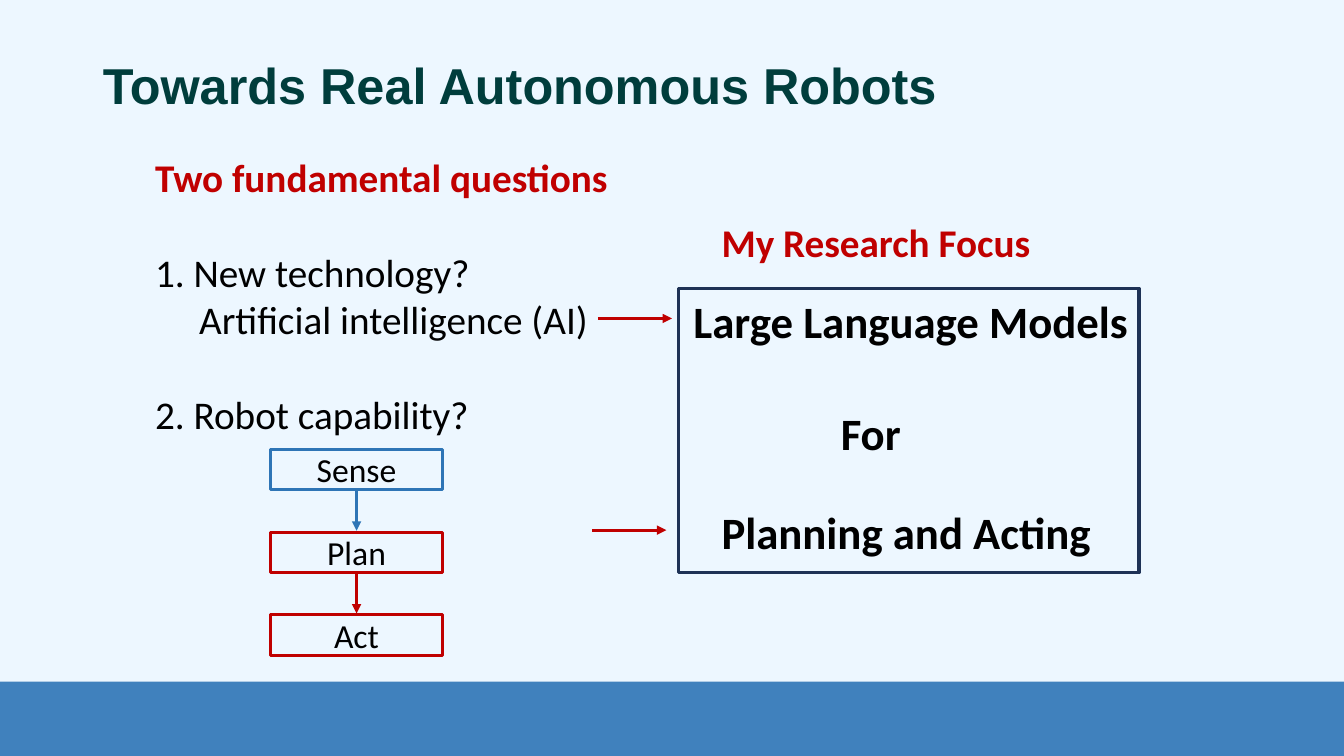
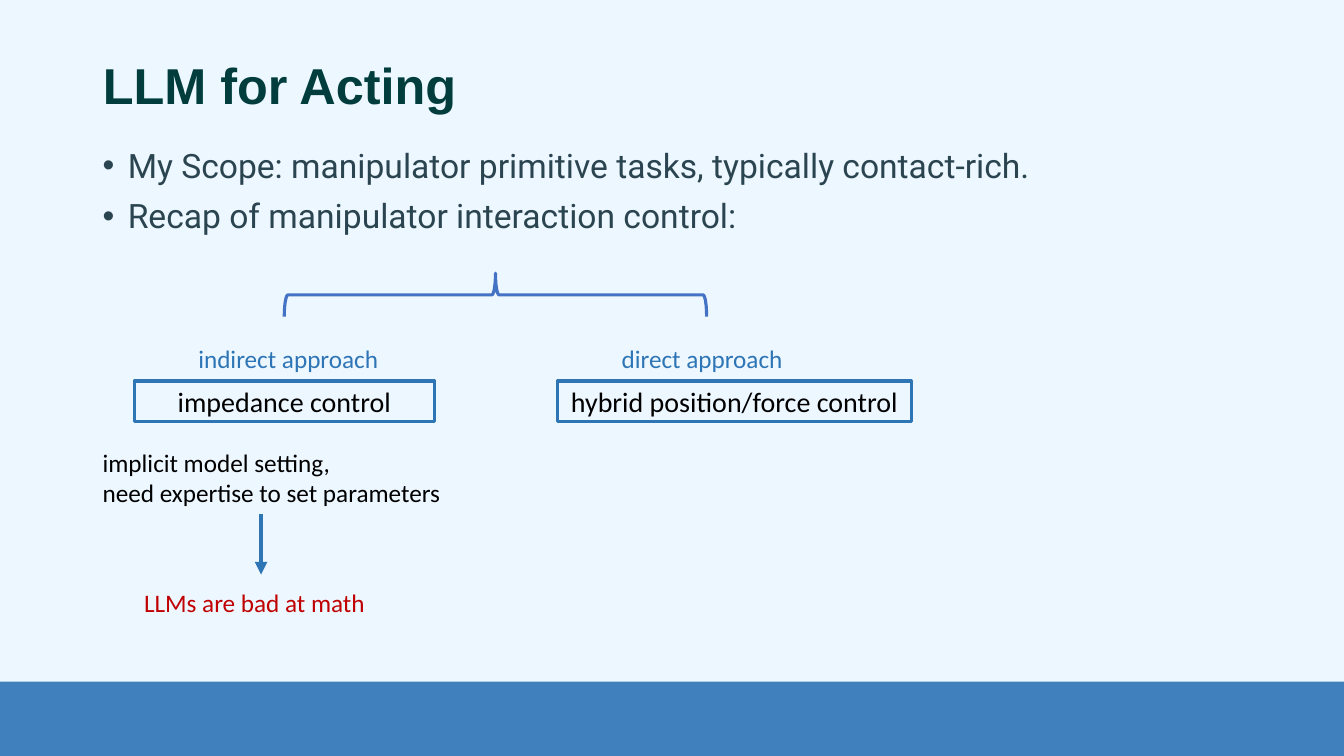
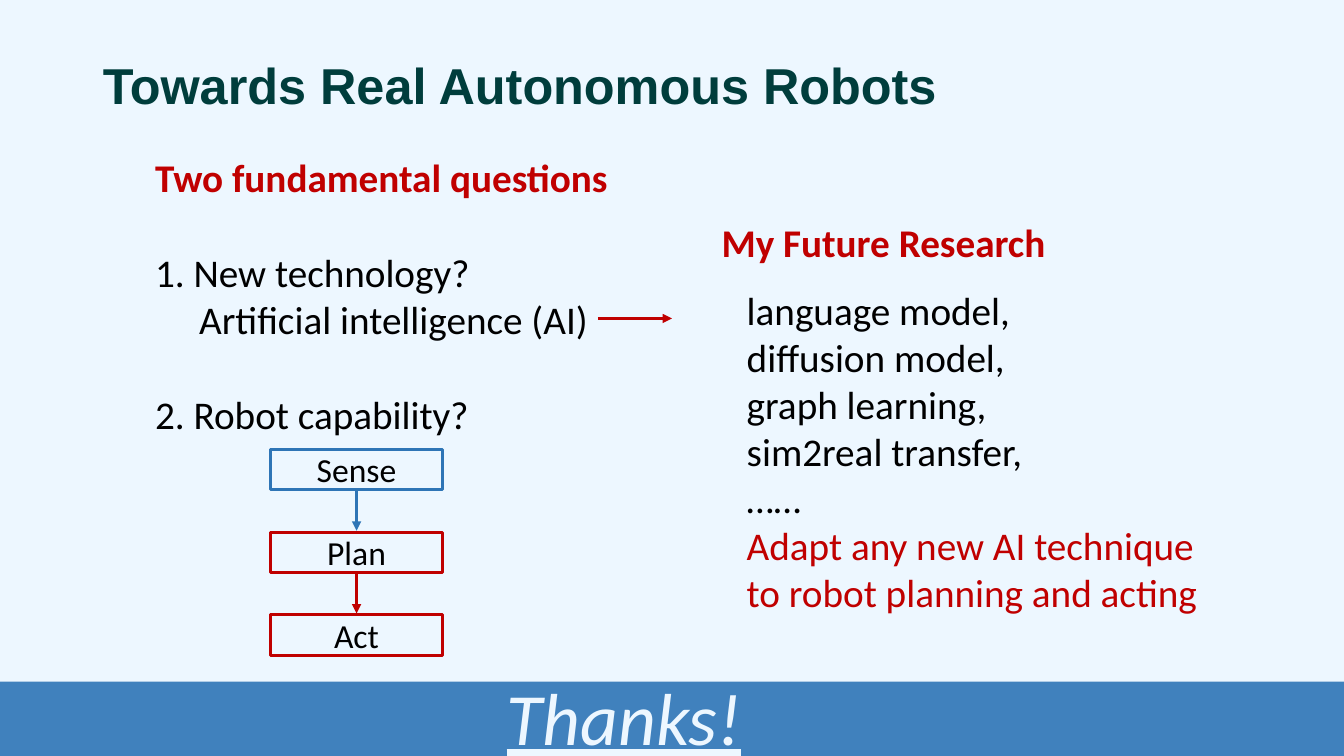
from dataclasses import dataclass
from typing import Optional

from lxml import etree
from pptx import Presentation
from pptx.dml.color import RGBColor
from pptx.enum.shapes import MSO_CONNECTOR, MSO_SHAPE
from pptx.enum.text import MSO_ANCHOR, MSO_AUTO_SIZE, PP_ALIGN
from pptx.oxml.ns import qn
from pptx.util import Pt


@dataclass(frozen=True)
class Theme:
    paper: RGBColor = RGBColor(0xED, 0xF7, 0xFF)
    blue: RGBColor = RGBColor(0x2E, 0x75, 0xB6)
    red: RGBColor = RGBColor(0xC0, 0x00, 0x00)
    navy: RGBColor = RGBColor(0x1E, 0x32, 0x56)
    brace: RGBColor = RGBColor(0x44, 0x72, 0xC4)
    title: RGBColor = RGBColor(0x00, 0x3D, 0x3C)
    slate: RGBColor = RGBColor(0x2B, 0x45, 0x50)
    black: RGBColor = RGBColor(0, 0, 0)
    title_font: str = "Arial"
    body_font: str = "Calibri"
    bullet_font: str = "Roboto"
    title_size: float = 36
    focus_size: float = 32
    lead_size: float = 28
    step_size: float = 24
    method_size: float = 20
    note_size: float = 18
    thanks_size: float = 52.6
    stroke: float = 2.25


@dataclass(frozen=True)
class Line:
    text: str
    color: RGBColor = Theme.black
    bold: bool = False
    before: float = 0
    indent: float = 0


T = Theme()
SLIDE_W, SLIDE_H = 960, 540
BAND_TOP = 486.8
TITLE_BOX = (66.24, 19.5, 828, 86.4)

ROBOTS_TITLE = "Towards Real Autonomous Robots"
ACTING_TITLE = "LLM for Acting"
LINE_GAP = 34.2
QUESTIONS = [
    Line("Two fundamental questions", T.red, True),
    Line("1. New technology?", before=LINE_GAP),
    Line("Artificial intelligence (AI)", indent=31.5),
    Line("2. Robot capability?", before=LINE_GAP),
]
STEPS = [("Sense", T.blue), ("Plan", T.red), ("Act", T.red)]
FOCUS = [("Large Language Models", 488.2, 206), ("For", 593.5, 286.5),
         ("Planning and Acting", 508.3, 357.2)]
FUTURE = [
    Line("language model,"),
    Line("diffusion model,"),
    Line("graph learning,"),
    Line("sim2real transfer,"),
    Line("……"),
    Line("Adapt any new AI technique", T.red),
    Line("to robot planning and acting", T.red),
]
SCOPE = [
    Line("My Scope: manipulator primitive tasks, typically contact-rich.", T.slate),
    Line("Recap of manipulator interaction control:", T.slate, before=10),
]
# approach, its left, method, left and width of the method box
APPROACHES = [
    ("indirect approach", 134.6, "impedance control", 95.8, 214.6),
    ("direct approach", 437, "hybrid position/force control", 398.2, 252.7),
]
LIMITS = [Line("implicit model setting,"), Line("need expertise to set parameters")]
VERDICT = [Line("LLMs are bad at math", T.red)]


def points(*values):
    return [Pt(value) for value in values]


def style(font, size, color, name=T.body_font, bold=False):
    font.size, font.name, font.bold = Pt(size), name, bold
    font.color.rgb = color


def write(frame, lines, size, font=T.body_font, align=PP_ALIGN.LEFT, spacing=None, bullet=None):
    for index, line in enumerate(lines):
        paragraph = frame.paragraphs[0] if index == 0 else frame.add_paragraph()
        paragraph.text = line.text
        paragraph.alignment = align
        paragraph.space_before = Pt(line.before)
        if spacing:
            paragraph.line_spacing = spacing
        properties = paragraph._p.get_or_add_pPr()
        if line.indent:
            properties.set("marL", str(Pt(line.indent)))
        if bullet:
            properties.set("marL", str(Pt(18)))
            properties.set("indent", str(Pt(-18)))
            etree.SubElement(properties, qn("a:buFont")).set("typeface", "Arial")
            etree.SubElement(properties, qn("a:buChar")).set("char", bullet)
        for run in paragraph.runs:
            style(run.font, size, line.color, font, line.bold)


def add_text(slide, box, lines, size, **options):
    frame = slide.shapes.add_textbox(*points(*box)).text_frame
    frame.word_wrap = True
    write(frame, lines, size, **options)
    return frame


def add_box(slide, box, stroke, label="", size=T.step_size):
    shape = slide.shapes.add_shape(MSO_SHAPE.RECTANGLE, *points(*box))
    shape.shadow.inherit = False
    shape.fill.solid()
    shape.fill.fore_color.rgb = T.paper
    shape.line.color.rgb = stroke
    shape.line.width = Pt(T.stroke)
    if label:
        shape.text_frame.vertical_anchor = MSO_ANCHOR.MIDDLE
        write(shape.text_frame, [Line(label)], size, align=PP_ALIGN.CENTER)


def add_arrow(slide, start, end, color, width=T.stroke):
    arrow = slide.shapes.add_connector(MSO_CONNECTOR.STRAIGHT, *points(*start, *end))
    arrow.line.color.rgb = color
    arrow.line.width = Pt(width)
    etree.SubElement(arrow.line._get_or_add_ln(), qn("a:tailEnd")).set("type", "triangle")
    etree.SubElement(arrow._element.spPr, qn("a:effectLst"))


def add_titled_slide(deck, title):
    slide = deck.slides.add_slide(deck.slide_layouts[5])
    heading = slide.shapes.title
    heading.left, heading.top, heading.width, heading.height = points(*TITLE_BOX)
    frame = heading.text_frame
    frame.auto_size = MSO_AUTO_SIZE.NONE
    frame.vertical_anchor = MSO_ANCHOR.MIDDLE
    write(frame, [Line(title, T.title, True)], T.title_size, T.title_font, spacing=0.9)
    return slide


def set_up_master(deck, slide):
    """Give the master its background and, by way of a slide, its bottom band."""
    master = deck.slide_master
    master.background.fill.solid()
    master.background.fill.fore_color.rgb = T.paper
    band = slide.shapes.add_shape(
        MSO_SHAPE.RECTANGLE, *points(0, BAND_TOP, SLIDE_W, SLIDE_H - BAND_TOP))
    band.shadow.inherit = False
    band.fill.solid()
    band.fill.fore_color.rgb = T.blue
    band.line.fill.background()
    color = band._element.spPr.find(qn("a:solidFill"))[0]
    etree.SubElement(color, qn("a:alpha")).set("val", "90000")
    master.shapes._spTree.insert(2, band._element)


def add_questions(slide, answer):
    """Draw the two questions, the sense-plan-act chain and the answer's heading."""
    add_text(slide, (103.7, 105.8, 368.6, 211), QUESTIONS, T.lead_size)
    left, top, width, height, pitch = 193.5, 321, 122.4, 28.8, 59.1
    middle = left + width / 2
    for index, (step, color) in enumerate(STEPS):
        y = top + index * pitch
        add_box(slide, (left, y, width, height), color, step)
        if index < len(STEPS) - 1:
            add_arrow(slide, (middle, y + height - 1), (middle, y + pitch - 1), color)
    add_arrow(slide, (427, 227.5), (480, 227.5), T.red)
    add_text(slide, (508.3, 152.6, 368.6, 75), [Line(answer, T.red, True)], T.lead_size)


def add_focus(slide):
    add_box(slide, (484.6, 206, 329, 203), T.navy)
    for topic, left, top in FOCUS:
        add_text(slide, (left, top, 330, 46), [Line(topic, bold=True)], T.focus_size)
    add_arrow(slide, (423, 378.7), (476, 378.7), T.red)


def add_approaches(slide):
    add_text(slide, (66.24, 103, 828, 86.4), SCOPE, T.step_size,
             font=T.bullet_font, spacing=0.9, bullet="•")
    brace = slide.shapes.add_shape(MSO_SHAPE.LEFT_BRACE, *points(338.4, 59.8, 31, 301.7))
    brace.rotation = 90
    brace.shadow.inherit = False
    brace.fill.background()
    brace.line.color.rgb = T.brace
    brace.line.width = Pt(T.stroke)
    for approach, label_left, method, left, width in APPROACHES:
        add_text(slide, (label_left, 242, 160, 28.8), [Line(approach, T.blue)], T.note_size)
        add_box(slide, (left, 272.2, width, 28.8), T.blue, method, T.method_size)
    add_text(slide, (66.24, 316, 288, 51), LIMITS, T.note_size)
    add_arrow(slide, (186.5, 367.2), (186.5, 410.4), T.blue, 3)
    add_text(slide, (95.8, 416.2, 216, 28.8), VERDICT, T.note_size)


def add_thanks(slide):
    frame = add_text(slide, (118.8, 463, 653.8, 104.4), [Line("Thanks!", T.paper)],
                     T.thanks_size, align=PP_ALIGN.CENTER, spacing=0.9)
    frame.vertical_anchor = MSO_ANCHOR.MIDDLE
    font = frame.paragraphs[0].runs[0].font
    font.italic = font.underline = True


def main():
    deck = Presentation()
    deck.slide_width, deck.slide_height = points(SLIDE_W, SLIDE_H)

    focus = add_titled_slide(deck, ROBOTS_TITLE)
    set_up_master(deck, focus)
    add_focus(focus)
    add_questions(focus, "My Research Focus")

    add_approaches(add_titled_slide(deck, ACTING_TITLE))

    future = add_titled_slide(deck, ROBOTS_TITLE)
    add_questions(future, "My Future Research")
    add_text(future, (526.3, 200.9, 368.6, 245), FUTURE, T.lead_size)
    add_thanks(future)

    deck.save("out.pptx")


if __name__ == "__main__":
    main()
